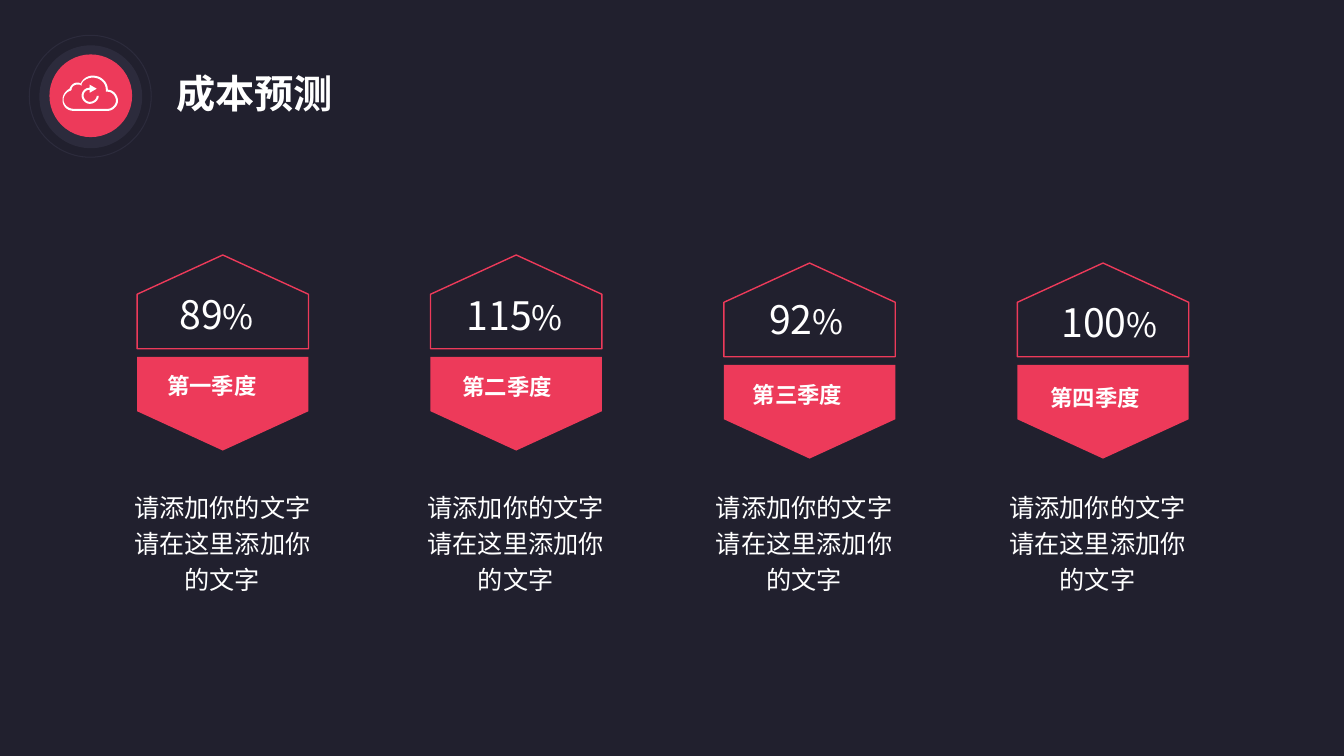
from pptx import Presentation
from pptx.dml.color import RGBColor
from pptx.enum.shapes import MSO_SHAPE
from pptx.enum.text import MSO_AUTO_SIZE, PP_ALIGN
from pptx.oxml.ns import qn
from pptx.util import Inches, Pt
from lxml import etree

COLORS = {"background": "21202E", "ring": "2C2B3C", "accent": "ED3A5A", "white": "FFFFFF"}
FONT = "Noto Sans CJK SC"
CURVE_STEPS = 8

presentation = Presentation()
presentation.slide_width = Inches(13.33)
presentation.slide_height = Inches(7.5)
slide = presentation.slides.add_slide(presentation.slide_layouts[6])
slide.background.fill.solid()
slide.background.fill.fore_color.rgb = RGBColor.from_string(COLORS["background"])


def paint(shape, fill=None, line=None, line_width=1):
    shape.shadow.inherit = False
    if fill:
        shape.fill.solid()
        shape.fill.fore_color.rgb = RGBColor.from_string(COLORS[fill])
    else:
        shape.fill.background()
    if line:
        shape.line.color.rgb = RGBColor.from_string(COLORS[line])
        shape.line.width = Pt(line_width)
    else:
        shape.line.fill.background()


def add_text(runs, left, top, width, height, bold=False, align=PP_ALIGN.LEFT,
             spacing=None, wrap=False):
    box = slide.shapes.add_textbox(Inches(left), Inches(top), Inches(width), Inches(height))
    frame = box.text_frame
    frame.word_wrap = wrap
    frame.auto_size = MSO_AUTO_SIZE.NONE if wrap else MSO_AUTO_SIZE.SHAPE_TO_FIT_TEXT
    paragraph = frame.paragraphs[0]
    paragraph.alignment = align
    if spacing:
        paragraph.line_spacing = spacing
    for text, size in runs:
        run = paragraph.add_run()
        run.text = text
        run.font.size = Pt(size)
        run.font.bold = bold
        run.font.color.rgb = RGBColor.from_string(COLORS["white"])
        run.font.name = FONT
        east_asian = etree.SubElement(run.font._element, qn("a:ea"))
        east_asian.set("typeface", FONT)


# Round badge
for left, top, size, fill, line in [
    (0.29, 0.35, 1.21, None, "ring"),
    (0.39, 0.45, 1.02, "ring", None),
    (0.49, 0.54, 0.82, "accent", None),
]:
    circle = slide.shapes.add_shape(
        MSO_SHAPE.OVAL, Inches(left), Inches(top), Inches(size), Inches(size))
    paint(circle, fill, line, 0.75)

# Icon contours: a start point, then lines (x, y) or cubic curves (two controls, end)
cloud_outside = [
    (1.07, 0.89), (1.07, 0.81, 1, 0.75, 0.92, 0.75), (0.87, 0.75, 0.82, 0.78, 0.8, 0.83),
    (0.79, 0.82, 0.78, 0.82, 0.76, 0.82), (0.73, 0.82, 0.7, 0.85, 0.69, 0.88),
    (0.65, 0.9, 0.62, 0.94, 0.62, 0.99), (0.62, 1.05, 0.66, 1.1, 0.73, 1.1),
    (1.07, 1.1), (1.12, 1.1, 1.17, 1.05, 1.17, 1), (1.17, 0.94, 1.12, 0.89, 1.07, 0.89),
]
cloud_inside = [
    (1.07, 1.08), (0.73, 1.08), (0.68, 1.08, 0.63, 1.04, 0.63, 0.99),
    (0.63, 0.95, 0.66, 0.91, 0.7, 0.9), (0.71, 0.89),
    (0.71, 0.86, 0.74, 0.84, 0.76, 0.84), (0.77, 0.84, 0.78, 0.84, 0.79, 0.84),
    (0.81, 0.85), (0.81, 0.83), (0.83, 0.79, 0.88, 0.77, 0.92, 0.77),
    (0.99, 0.77, 1.05, 0.82, 1.05, 0.89), (1.05, 0.91), (1.07, 0.91),
    (1.11, 0.91, 1.15, 0.95, 1.15, 1), (1.15, 1.04, 1.11, 1.08, 1.07, 1.08),
]
refresh_arrow = [
    (0.89, 1.01), (0.86, 1.01, 0.83, 0.98, 0.83, 0.95), (0.83, 0.91, 0.86, 0.89, 0.89, 0.89),
    (0.89, 0.92), (0.96, 0.88), (0.89, 0.84), (0.89, 0.87),
    (0.85, 0.87, 0.81, 0.9, 0.81, 0.95), (0.81, 0.99, 0.85, 1.03, 0.89, 1.03),
    (0.94, 1.03, 0.98, 0.99, 0.98, 0.95), (0.96, 0.95),
    (0.96, 0.98, 0.93, 1.01, 0.89, 1.01),
]
for contours in [(cloud_outside, cloud_inside), (refresh_arrow,)]:
    builder = slide.shapes.build_freeform(
        Inches(contours[0][0][0]), Inches(contours[0][0][1]))
    for contour in contours:
        points = [contour[0]]
        for segment in contour[1:]:
            if len(segment) == 2:
                points.append(segment)
                continue
            x0, y0 = points[-1]
            x1, y1, x2, y2, x3, y3 = segment
            for step in range(1, CURVE_STEPS + 1):
                t = step / CURVE_STEPS
                u = 1 - t
                points.append((
                    u**3 * x0 + 3 * u * u * t * x1 + 3 * u * t * t * x2 + t**3 * x3,
                    u**3 * y0 + 3 * u * u * t * y1 + 3 * u * t * t * y2 + t**3 * y3))
        vertices = [(Inches(x), Inches(y)) for x, y in points]
        if contour is not contours[0]:
            builder.move_to(*vertices[0])
        builder.add_line_segments(vertices[1:], close=True)
    paint(builder.convert_to_shape(), "white")

# Title
add_text([("成本预测", 28)], 1.65, 0.64, 2.3, 0.57, bold=True)

# Quarters: name, value, badge top, then left and top of value and name, left of body
quarters = [
    ("第一季度", "89", 2.53, (1.68, 2.83, 1.22), (1.56, 3.64), 1.17),
    ("第二季度", "115", 2.53, (4.53, 2.84, 1.54), (4.49, 3.65), 4.08),
    ("第三季度", "92", 2.61, (7.53, 2.88, 1.22), (7.37, 3.73), 6.94),
    ("第四季度", "100", 2.61, (10.43, 2.91, 1.55), (10.32, 3.76), 9.85),
]
HALF_WIDTH, ROOF, WALL, BADGE_HEIGHT = 0.85, 0.39, 0.54, 1.94
for index, (name, value, top, value_box, name_at, body_left) in enumerate(quarters):
    center = 2.21 + 2.91 * index
    bottom = top + BADGE_HEIGHT
    # The lower pentagon mirrors the upper one
    for tip, direction, fill, line in [(top, 1, None, "accent"), (bottom, -1, "accent", None)]:
        shoulder = tip + direction * ROOF
        base = shoulder + direction * WALL
        left, right = center - HALF_WIDTH, center + HALF_WIDTH
        corners = [(right, shoulder), (right, base), (left, base), (left, shoulder)]
        builder = slide.shapes.build_freeform(Inches(center), Inches(tip))
        builder.add_line_segments([(Inches(x), Inches(y)) for x, y in corners], close=True)
        paint(builder.convert_to_shape(), fill, line)
    add_text([(value, 28), ("%", 24)], *value_box, 0.57)
    add_text([(name, 16)], *name_at, 1.47, 0.49, bold=True)
    add_text([("请添加你的文字请在这里添加你的文字", 18)], body_left, 4.77, 2.07, 1.02,
             align=PP_ALIGN.CENTER, spacing=1.2, wrap=True)

presentation.save("out.pptx")
